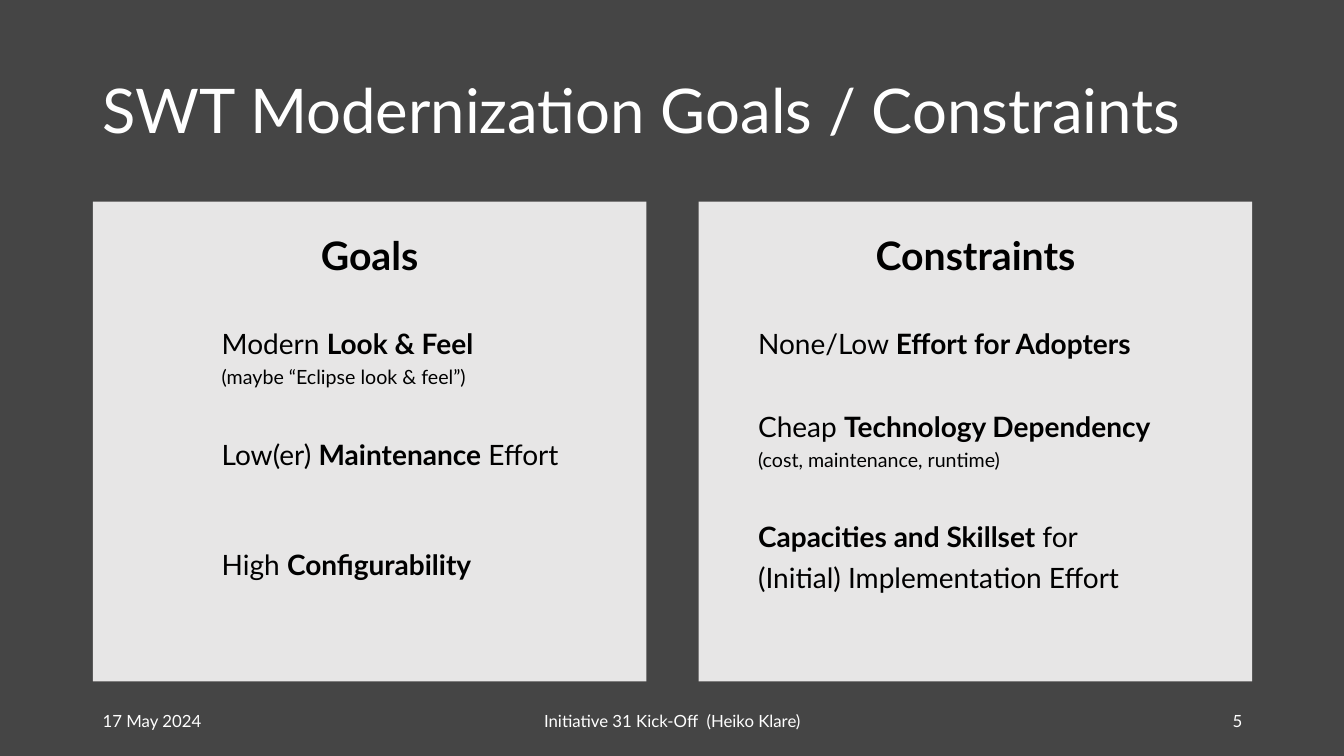
from pptx import Presentation
from pptx import util as u
from pptx.dml.color import RGBColor
from pptx.enum import shapes, text

FONT, WHITE, BLACK, PANEL, BACK = "Lato", "FFFFFF", "000000", "E7E6E6", "454545"
ALIGN, ANCHOR = text.PP_ALIGN, text.MSO_ANCHOR

GOALS = [
    (30, [("Modern ", 20, False), ("Look & Feel\n", 20, True),
          ("(maybe “Eclipse look & feel”)", 14, False)]),
    (50, [("Low(er) ", 20, False), ("Maintenance", 20, True), (" Effort", 20, False)]),
    (30, [("High ", 20, False), ("Configurability", 20, True)]),
]
CONSTRAINTS = [
    (30, [("None/Low ", 20, False), ("Effort for Adopters", 20, True)]),
    (30, [("Cheap ", 20, False), ("Technology Dependency\n", 20, True),
          ("(cost, maintenance, runtime)", 14, False)]),
    (30, [("Capacities and Skillset ", 20, True),
          ("for\n(Initial) Implementation Effort", 20, False)]),
]


def px(n):
    """Turn px, 100 to the inch, into EMU."""
    return u.Emu(n * 9144)


def rgb(value):
    """Turn a hex string into a colour."""
    return RGBColor.from_string(value)


def assign(obj, **values):
    """Set attributes from a dict of format values."""
    for name, value in values.items():
        setattr(obj, name, value)


def add_runs(p, runs, color):
    """Write runs of (text, size, bold), with line breaks at newlines."""
    for words, size, bold in runs:
        for i, part in enumerate(words.split("\n")):
            if i:
                p.add_line_break()
            if part:
                r = p.add_run()
                r.text = part
                assign(r.font, name=FONT, size=u.Pt(size), bold=bold)
                r.font.color.rgb = rgb(color)


def label(s, box, words, size, align=ALIGN.LEFT, spacing=1.0):
    """Add a line of white text centred vertically in its box."""
    tf = s.shapes.add_textbox(*map(px, box)).text_frame
    assign(tf, word_wrap=True, vertical_anchor=ANCHOR.MIDDLE)
    p = tf.paragraphs[0]
    assign(p, alignment=align, line_spacing=spacing)
    add_runs(p, [(words, size, False)], WHITE)


def panel(s, box, heading, items, indent):
    """Add a light panel with a centred heading and indented items."""
    sp = s.shapes.add_shape(shapes.MSO_SHAPE.RECTANGLE, *map(px, box))
    sp.shadow.inherit = False
    sp.fill.solid()
    sp.fill.fore_color.rgb = rgb(PANEL)
    sp.line.fill.background()
    tf = sp.text_frame
    assign(tf, word_wrap=True, vertical_anchor=ANCHOR.TOP, margin_left=px(10),
           margin_right=px(10), margin_top=px(20), margin_bottom=px(5))
    p = tf.paragraphs[0]
    assign(p, alignment=ALIGN.CENTER, line_spacing=1.2, space_after=u.Pt(30))
    add_runs(p, [(heading, 28, True)], BLACK)
    for after, runs in items:
        p = tf.add_paragraph()
        assign(p, alignment=ALIGN.LEFT, line_spacing=1.2, space_after=u.Pt(after))
        p._p.get_or_add_pPr().set("marL", str(px(indent)))
        add_runs(p, runs, BLACK)


def footer(s, box):
    """Add the date, event and slide number along the box."""
    x, y, w, h = box
    side, middle = 300, 450
    label(s, (x, y, side, h), "17 May 2024", 12)
    label(s, (x + (w - middle) // 2, y, middle, h),
          "Initiative 31 Kick-Off  (Heiko Klare)", 12, ALIGN.CENTER)
    label(s, (x + w - side, y, side, h), "5", 12, ALIGN.RIGHT)


def main():
    """Build the slide and save it."""
    prs = Presentation()
    assign(prs, slide_width=px(1333), slide_height=px(750))
    s = prs.slides.add_slide(prs.slide_layouts[6])
    s.background.fill.solid()
    s.background.fill.fore_color.rgb = rgb(BACK)
    left, width, panel_w = 92, 1150, 549
    label(s, (left, 40, width, 145), "SWT Modernization Goals / Constraints", 44, spacing=0.9)
    panel(s, (left, 200, panel_w, 476), "Goals", GOALS, 118)
    panel(s, (left + width - panel_w, 200, panel_w, 476), "Constraints", CONSTRAINTS, 49)
    footer(s, (left, 695, width, 40))
    prs.save("out.pptx")


if __name__ == "__main__":
    main()
